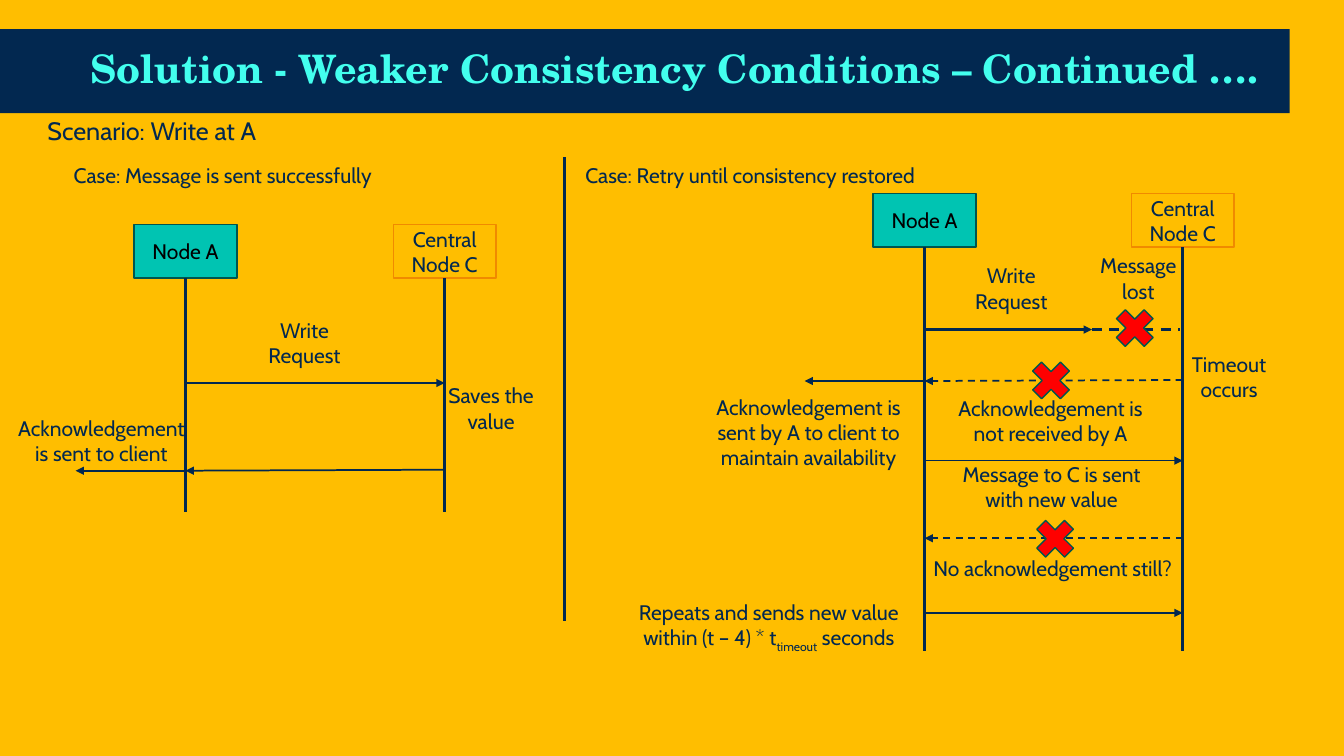
from lxml.etree import SubElement
from pptx import Presentation
from pptx.dml.color import RGBColor
from pptx.enum.dml import MSO_LINE
from pptx.enum.shapes import MSO_CONNECTOR, MSO_SHAPE
from pptx.enum.text import MSO_ANCHOR, MSO_AUTO_SIZE, PP_ALIGN
from pptx.oxml.ns import qn
from pptx.util import Inches, Pt

COLORS = {
    "background": "FFBE00", "navy": "022850", "title": "43FFEE",
    "teal": "00C4B2", "teal line": "00564E", "orange line": "F08A00",
    "black": "000000", "red": "FF0000",
}
TITLE = "Solution - Weaker Consistency Conditions – Continued …."
BODY_FONT, TITLE_FONT = "Cabin", "TeX Gyre Schola"
NODE_WIDTH, NODE_HEIGHT, CROSS_SIZE = 1.02, 0.53, 0.53
THIN, THICK = 1.25, 1.75

# Columns: the lifelines of A and C in the two cases
LEFT_A, LEFT_C = 1.84, 4.41
RIGHT_A, RIGHT_C = 9.17, 11.73
DIVIDER = 5.6
LOST_AT = 10.83

NODE_STYLES = {
    "Node A": ("teal", "teal line", "black"),
    "Central Node C": ("background", "orange line", "navy"),
}
# name, lifeline column, top of node, end of lifeline
NODES = [
    ("Node A", LEFT_A, 2.23, 5.08),
    ("Central Node C", LEFT_C, 2.23, 5.08),
    ("Node A", RIGHT_A, 1.92, 6.46),
    ("Central Node C", RIGHT_C, 1.92, 6.46),
]
# start, end, weight, dashed, arrowhead
LINES = [
    ((DIVIDER, 1.56), (DIVIDER, 6.16), THICK, False, False),
    ((LEFT_A, 3.8), (LEFT_C, 3.8), THICK, False, True),
    ((LEFT_C, 4.66), (LEFT_A, 4.67), THIN, False, True),
    ((LEFT_A, 4.67), (0.75, 4.67), THIN, False, True),
    ((RIGHT_A, 3.27), (LOST_AT, 3.27), THICK, False, True),
    ((LOST_AT, 3.27), (11.7, 3.27), THICK, True, False),
    ((RIGHT_C, 3.77), (RIGHT_A, 3.78), THIN, True, True),
    ((RIGHT_A, 3.78), (7.98, 3.78), THICK, False, True),
    ((RIGHT_A, 4.57), (RIGHT_C, 4.57), THIN, False, True),
    ((RIGHT_C, 5.34), (RIGHT_A, 5.34), THIN, True, True),
    ((RIGHT_A, 6.08), (RIGHT_C, 6.08), THIN, False, True),
]
# left, top of each failed message mark
CROSSES = [(10.99, 2.99), (10.16, 3.51), (10.2, 5.08)]

# text runs, left, top, width, rows, size
LABELS = [
    (["Scenario: Write at A"], 0.26, 1.09, 2.49, 1, 18),
    (["Case: Message is sent successfully"], 0.41, 1.56, 3.6, 1, 15),
    (["Write Request"], 2.46, 3.1, 1.12, 2, 15),
    (["Saves the value"], 4.31, 3.75, 1.12, 2, 15),
    (["Acknowledgement is sent to client"], 0.07, 4.07, 1.87, 2, 15),
    (["Case: Retry until consistency restored"], 5.48, 1.56, 3.92, 1, 15),
    (["Write Request"], 9.47, 2.56, 1.12, 2, 15),
    (["Message lost"], 10.73, 2.46, 1.12, 2, 15),
    (["Timeout occurs"], 11.63, 3.44, 1.12, 2, 15),
    (["Acknowledgement is sent by A to client to maintain availability"],
     6.8, 3.86, 2.44, 3, 15),
    (["Acknowledgement is not received by A"], 9.39, 3.87, 2.06, 2, 15),
    (["Message to C is sent with new value"], 9.4, 4.53, 2.06, 2, 15),
    (["No acknowledgement still?"], 9.09, 5.46, 2.7, 1, 15),
    (["Repeats and sends new value within (t – 4) * t", "timeout", " seconds"],
     6.05, 5.9, 3.15, 2, 15),
]
SUBSCRIPTS = {"timeout"}


def rgb(name):
    return RGBColor.from_string(COLORS[name])


def add_run(paragraph, text, size, color, font=BODY_FONT, bold=False):
    run = paragraph.add_run()
    run.text = text
    run.font.name = font
    run.font.size = Pt(size)
    run.font.bold = bold
    run.font.color.rgb = rgb(color)
    if text in SUBSCRIPTS:
        run.font._element.set("baseline", "-25000")


def add_filled_shape(slide, kind, left, top, width, height, fill, line):
    shape = slide.shapes.add_shape(
        kind, Inches(left), Inches(top), Inches(width), Inches(height))
    shape.shadow.inherit = False
    shape.fill.solid()
    shape.fill.fore_color.rgb = rgb(fill)
    shape.line.color.rgb = rgb(line)
    shape.line.width = Pt(1)
    return shape


def add_line(slide, start, end, weight, dashed=False, arrow=False):
    connector = slide.shapes.add_connector(
        MSO_CONNECTOR.STRAIGHT, *(Inches(value) for value in (*start, *end)))
    connector.line.color.rgb = rgb("navy")
    connector.line.width = Pt(weight)
    if dashed:
        connector.line.dash_style = MSO_LINE.DASH
    if arrow:
        SubElement(connector.line._get_or_add_ln(), qn("a:tailEnd"), type="triangle")
    SubElement(connector._element.spPr, qn("a:effectLst"))
    return connector


def add_title(slide):
    title = slide.shapes.title
    title.left, title.top = Inches(0), Inches(0.44)
    title.width, title.height = Inches(12.79), Inches(0.53)
    title.fill.solid()
    title.fill.fore_color.rgb = rgb("navy")
    frame = title.text_frame
    frame.word_wrap = False
    frame.auto_size = MSO_AUTO_SIZE.SHAPE_TO_FIT_TEXT
    frame.vertical_anchor = MSO_ANCHOR.MIDDLE
    frame.margin_left, frame.margin_right = Inches(0.9), Inches(0.2)
    frame.margin_top = frame.margin_bottom = Inches(0.05)
    paragraph = frame.paragraphs[0]
    paragraph.alignment = PP_ALIGN.LEFT
    paragraph.line_spacing = 0.9
    paragraph.space_before = Pt(0)
    add_run(paragraph, TITLE, 28, "title", TITLE_FONT, True)


def add_node(slide, name, column, top, lifeline_end):
    """Draw a node with its lifeline hanging from the bottom side."""
    fill, line, text_color = NODE_STYLES[name]
    node = add_filled_shape(slide, MSO_SHAPE.RECTANGLE, column - NODE_WIDTH / 2,
                            top, NODE_WIDTH, NODE_HEIGHT, fill, line)
    node.text_frame.word_wrap = True
    node.text_frame.vertical_anchor = MSO_ANCHOR.MIDDLE
    paragraph = node.text_frame.paragraphs[0]
    paragraph.alignment = PP_ALIGN.CENTER
    add_run(paragraph, name, 15, text_color)
    lifeline = add_line(slide, (column, top + NODE_HEIGHT),
                        (column, lifeline_end), THICK)
    lifeline.begin_connect(node, 2)


def add_label(slide, runs, left, top, width, rows, size):
    height = 0.1 + rows * size / 60
    box = slide.shapes.add_textbox(
        Inches(left), Inches(top), Inches(width), Inches(height))
    frame = box.text_frame
    frame.word_wrap = True
    frame.auto_size = MSO_AUTO_SIZE.SHAPE_TO_FIT_TEXT
    paragraph = frame.paragraphs[0]
    paragraph.alignment = PP_ALIGN.CENTER
    for text in runs:
        add_run(paragraph, text, size, "navy")


def main():
    presentation = Presentation()
    presentation.slide_width = Inches(13.33)
    presentation.slide_height = Inches(7.5)
    slide = presentation.slides.add_slide(presentation.slide_layouts[5])
    slide.background.fill.solid()
    slide.background.fill.fore_color.rgb = rgb("background")

    add_title(slide)
    for node in NODES:
        add_node(slide, *node)
    for line in LINES:
        add_line(slide, *line)
    for left, top in CROSSES:
        add_filled_shape(slide, MSO_SHAPE.MATH_MULTIPLY, left, top,
                         CROSS_SIZE, CROSS_SIZE, "red", "teal line")
    for label in LABELS:
        add_label(slide, *label)
    presentation.save("out.pptx")


if __name__ == "__main__":
    main()
